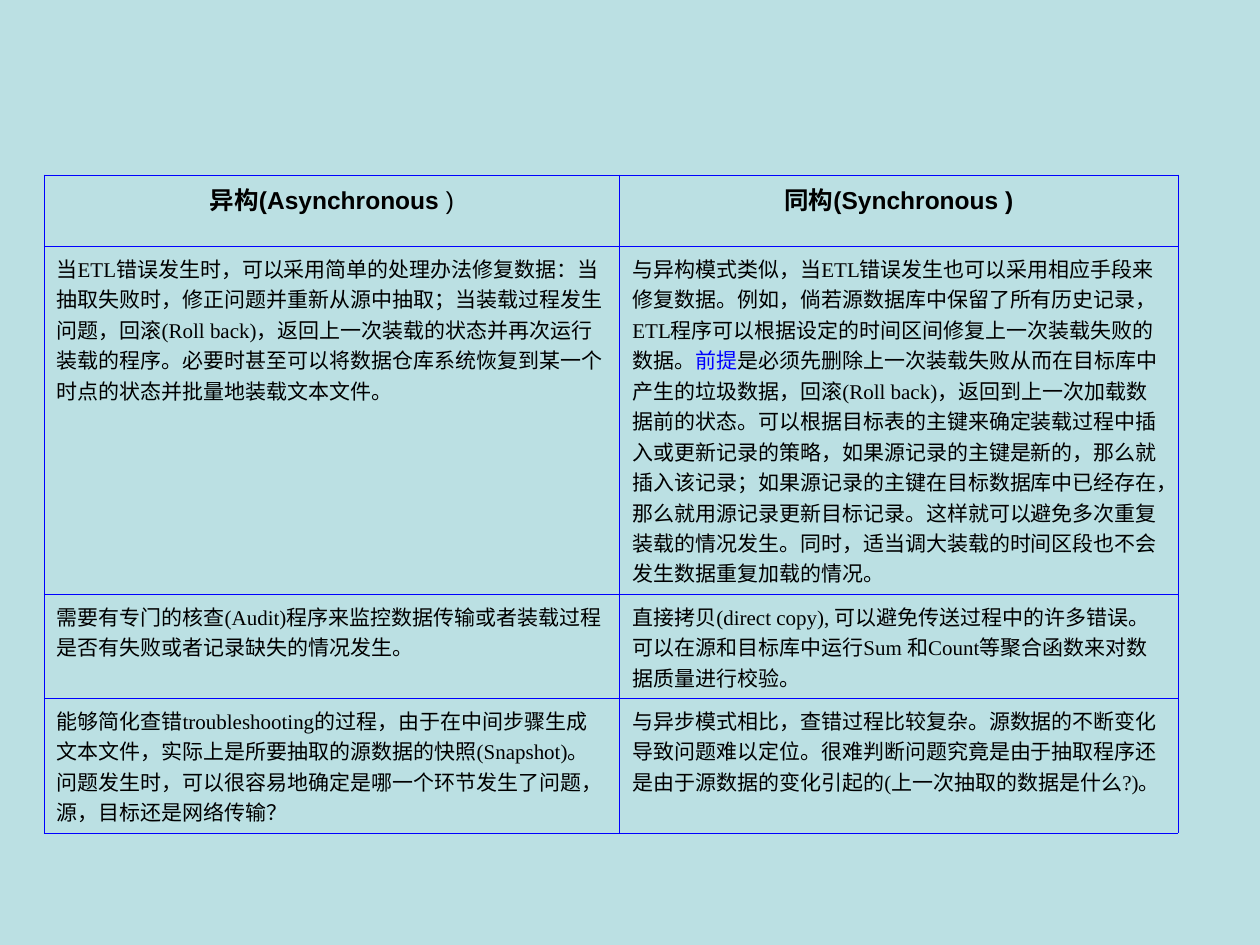
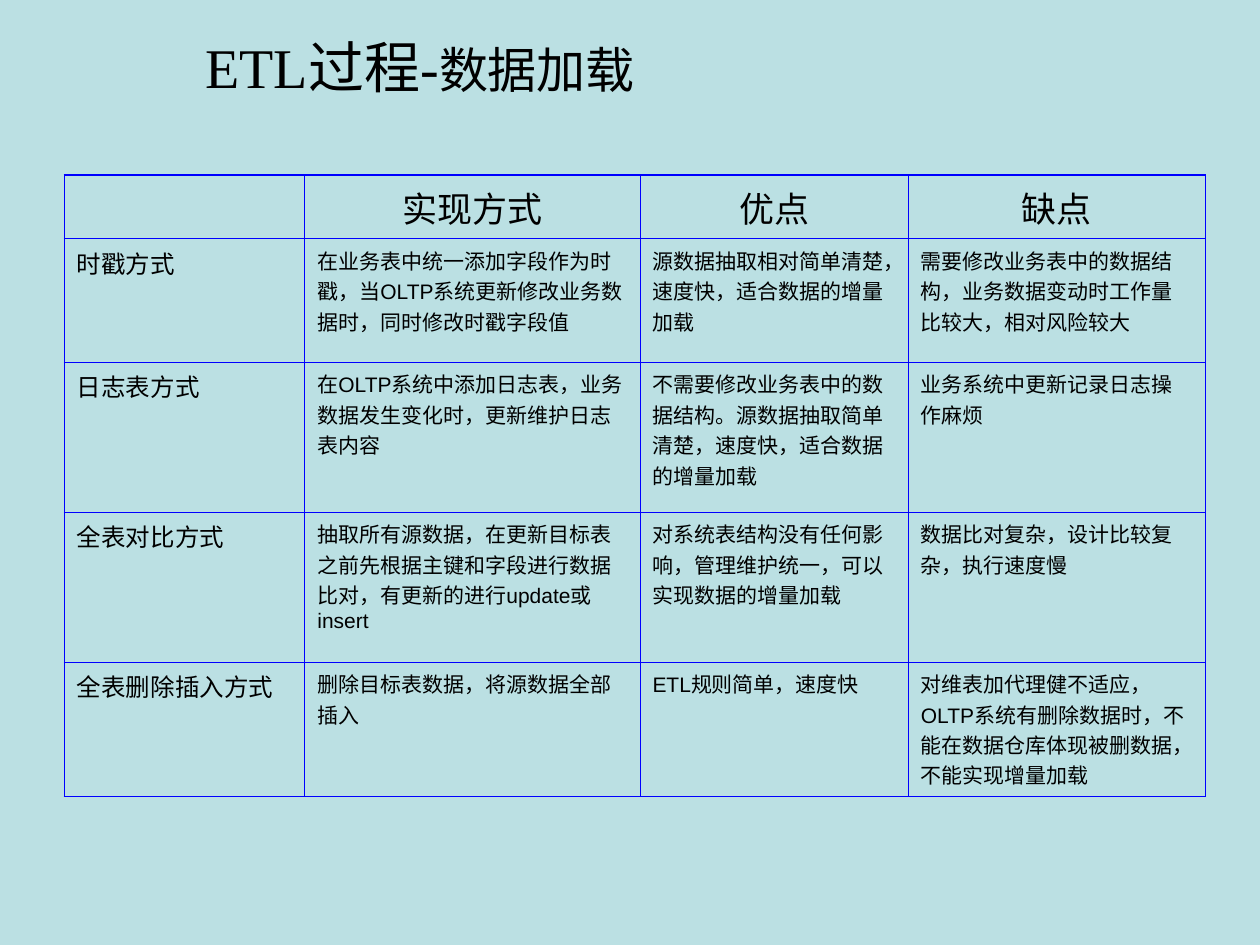
"""Two slides on ETL: error handling by mode, and ways to load data."""
from lxml.etree import SubElement as Sub
from pptx import Presentation
from pptx.dml.color import RGBColor as RGB
from pptx.enum.text import MSO_ANCHOR as Anchor, MSO_AUTO_SIZE as Auto, PP_ALIGN as Align
from pptx.oxml.ns import qn
from pptx.util import Pt

BACK, BLACK, BLUE = "BBE0E3", "000000", "0000FF"
SANS, SERIF = "Arial", "Times New Roman"
TOP = 100


def add_run(para, text, size, face, color=BLACK, bold=False):
    run = para.add_run()
    run.text = text
    font = run.font
    font.size, font.name, font.bold = Pt(size), face, bold
    font.color.rgb = RGB.from_string(color)


def add_grid(slide, left, cols, rows, outer, inner):
    frame = slide.shapes.add_table(len(rows), len(cols), Pt(left), Pt(TOP),
                                   Pt(sum(cols)), Pt(sum(rows)))
    grid = frame.table
    grid.first_row = grid.horz_banding = False
    for col, width in zip(grid.columns, cols):
        col.width = Pt(width)
    for row, height in zip(grid.rows, rows):
        row.height = Pt(height)
    for r in range(len(rows)):
        for c in range(len(cols)):
            cell = grid.cell(r, c)
            props = cell._tc.get_or_add_tcPr()
            edges = {"lnL": c == 0, "lnR": c == len(cols) - 1,
                     "lnT": r == 0, "lnB": r == len(rows) - 1}
            for tag, edge in edges.items():
                line = Sub(props, qn("a:" + tag), w=str(Pt(outer if edge else inner)))
                Sub(Sub(line, qn("a:solidFill")), qn("a:srgbClr"), val=BLUE)
            cell.fill.background()
    return grid


prs = Presentation()
prs.slide_width, prs.slide_height = Pt(720), Pt(540)
fill = prs.slide_master.background.fill
fill.solid()
fill.fore_color.rgb = RGB.from_string(BACK)

slide = prs.slides.add_slide(prs.slide_layouts[6])
grid = add_grid(slide, 25.2, [329, 319], [41, 165.6, 50.4, 64.8], 0.45, 0.45)
heads = [[("异构(Asynchronous", True), (" )", False)], [("同构(Synchronous )", True)]]
for c, parts in enumerate(heads):
    para = grid.cell(0, c).text_frame.paragraphs[0]
    para.alignment = Align.CENTER
    for text, bold in parts:
        add_run(para, text, 14, SANS, bold=bold)

modes = [
    [["当ETL错误发生时，可以采用简单的处理办法修复数据：当抽取失败时，修正问题并重新从源中抽取；"
      "当装载过程发生问题，回滚(Roll back)，返回上一次装载的状态并再次运行装载的程序。"
      "必要时甚至可以将数据仓库系统恢复到某一个时点的状态并批量地装载文本文件。"],
     ["与异构模式类似，当ETL错误发生也可以采用相应手段来修复数据。例如，倘若源数据库中保留了所有历史记录，"
      "ETL程序可以根据设定的时间区间修复上一次装载失败的数据。",
      "前提",
      "是必须先删除上一次装载失败从而在目标库中产生的垃圾数据，回滚(Roll back)，返回到上一次加载数据前的状态。"
      "可以根据目标表的主键来确定装载过程中插入或更新记录的策略，如果源记录的主键是新的，那么就插入该记录；"
      "如果源记录的主键在目标数据库中已经存在，那么就用源记录更新目标记录。这样就可以避免多次重复装载的情况发生。"
      "同时，适当调大装载的时间区段也不会发生数据重复加载的情况。"]],
    [["需要有专门的核查(Audit)程序来监控数据传输或者装载过程是否有失败或者记录缺失的情况发生。"],
     ["直接拷贝(direct copy), 可以避免传送过程中的许多错误。"
      "可以在源和目标库中运行Sum 和Count等聚合函数来对数据质量进行校验。"]],
    [["能够简化查错troubleshooting的过程，由于在中间步骤生成文本文件，实际上是所要抽取的源数据的快照(Snapshot)。"
      "问题发生时，可以很容易地确定是哪一个环节发生了问题，源，目标还是网络传输？"],
     ["与异步模式相比，查错过程比较复杂。源数据的不断变化导致问题难以定位。"
      "很难判断问题究竟是由于抽取程序还是由于源数据的变化引起的(上一次抽取的数据是什么?)。"]],
]
for r, row in enumerate(modes, 1):
    for c, parts in enumerate(row):
        para = grid.cell(r, c).text_frame.paragraphs[0]
        for text in parts:
            add_run(para, text, 12, SERIF, BLUE if text == "前提" else BLACK)

slide = prs.slides.add_slide(prs.slide_layouts[5])
title = slide.shapes.title
title.left, title.top, title.width, title.height = Pt(110.2), Pt(15.1), Pt(572.4), Pt(45.4)
frame = title.text_frame
frame.auto_size, frame.vertical_anchor = Auto.NONE, Anchor.MIDDLE
para = frame.paragraphs[0]
para.alignment = Align.LEFT
add_run(para, "ETL过程-", 32, SERIF)
add_run(para, "数据加载", 28, SERIF)

grid = add_grid(slide, 36.7, [137.5, 191.5, 153.4, 169.9],
                [23.8, 70.6, 85.7, 85.7, 73.4], 0.75, 0.45)
ways = [
    ["", "实现方式", "优点", "缺点"],
    ["时戳方式", "在业务表中统一添加字段作为时戳，当OLTP系统更新修改业务数据时，同时修改时戳字段值",
     "源数据抽取相对简单清楚，速度快，适合数据的增量加载",
     "需要修改业务表中的数据结构，业务数据变动时工作量比较大，相对风险较大"],
    ["日志表方式", "在OLTP系统中添加日志表，业务数据发生变化时，更新维护日志表内容",
     "不需要修改业务表中的数据结构。源数据抽取简单清楚，速度快，适合数据的增量加载",
     "业务系统中更新记录日志操作麻烦"],
    ["全表对比方式", "抽取所有源数据，在更新目标表之前先根据主键和字段进行数据比对，有更新的进行update或insert",
     "对系统表结构没有任何影响，管理维护统一，可以实现数据的增量加载",
     "数据比对复杂，设计比较复杂，执行速度慢"],
    ["全表删除插入方式", "删除目标表数据，将源数据全部插入",
     "ETL规则简单，速度快",
     "对维表加代理健不适应，OLTP系统有删除数据时，不能在数据仓库体现被删数据，不能实现增量加载"],
]
for r, row in enumerate(ways):
    for c, text in enumerate(row):
        if not text:
            continue
        cell = grid.cell(r, c)
        para = cell.text_frame.paragraphs[0]
        size = 20 if r == 0 else 14 if c == 0 else 12
        para.space_before = Pt(size / 4)
        if r == 0:
            para.alignment = Align.CENTER
            cell.vertical_anchor = Anchor.MIDDLE
        add_run(para, text, size, SANS)

prs.save("out.pptx")
